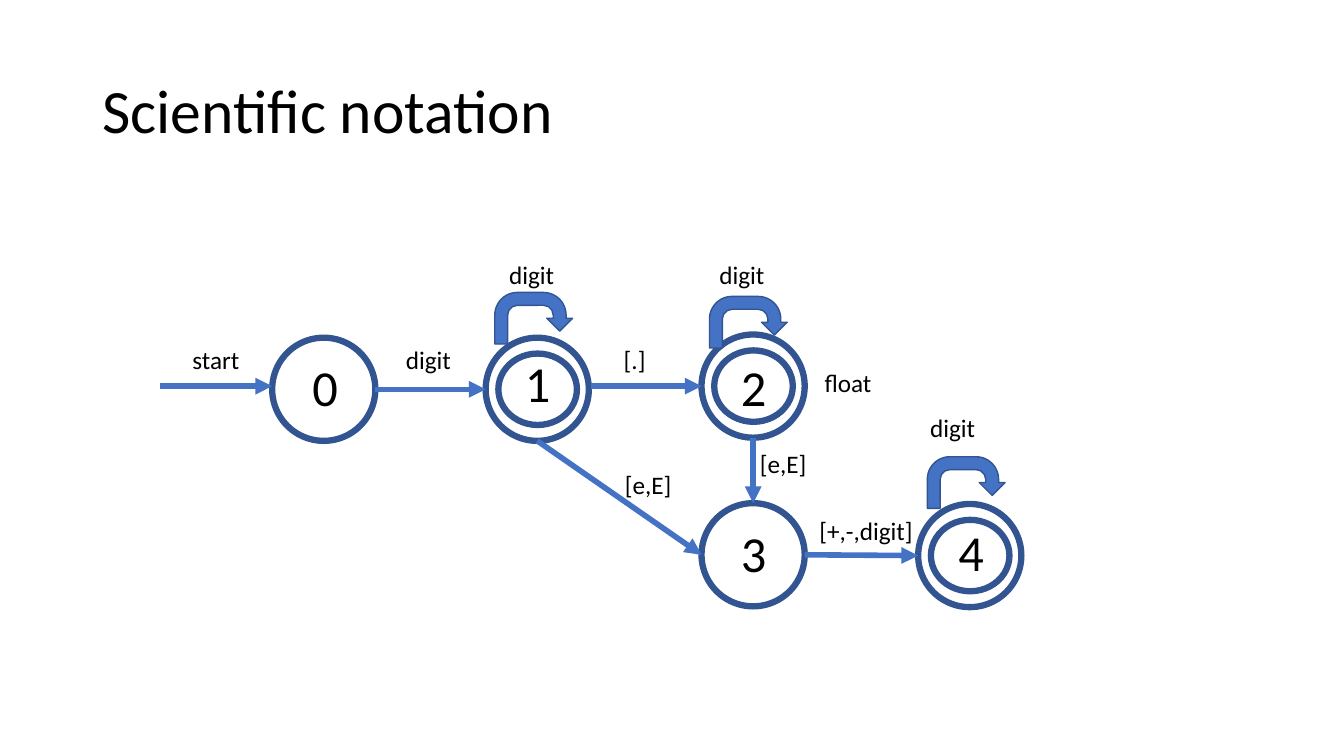
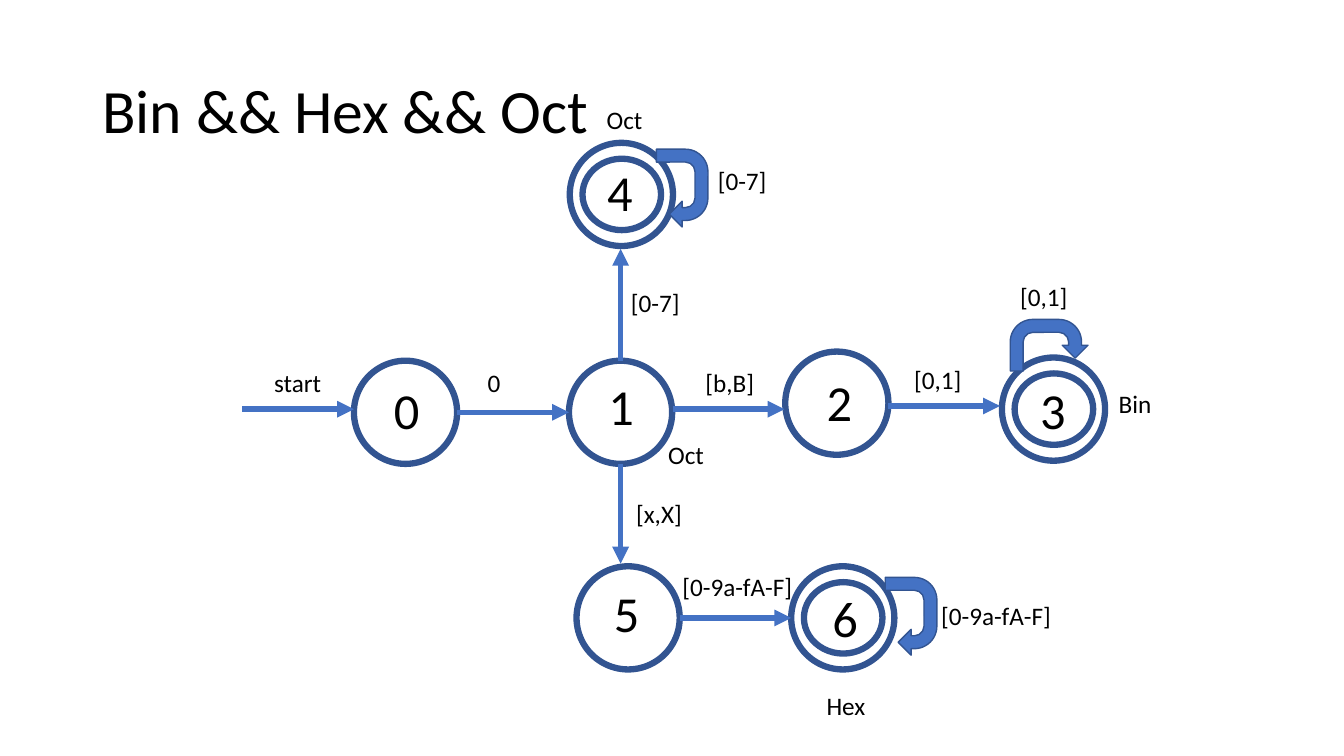
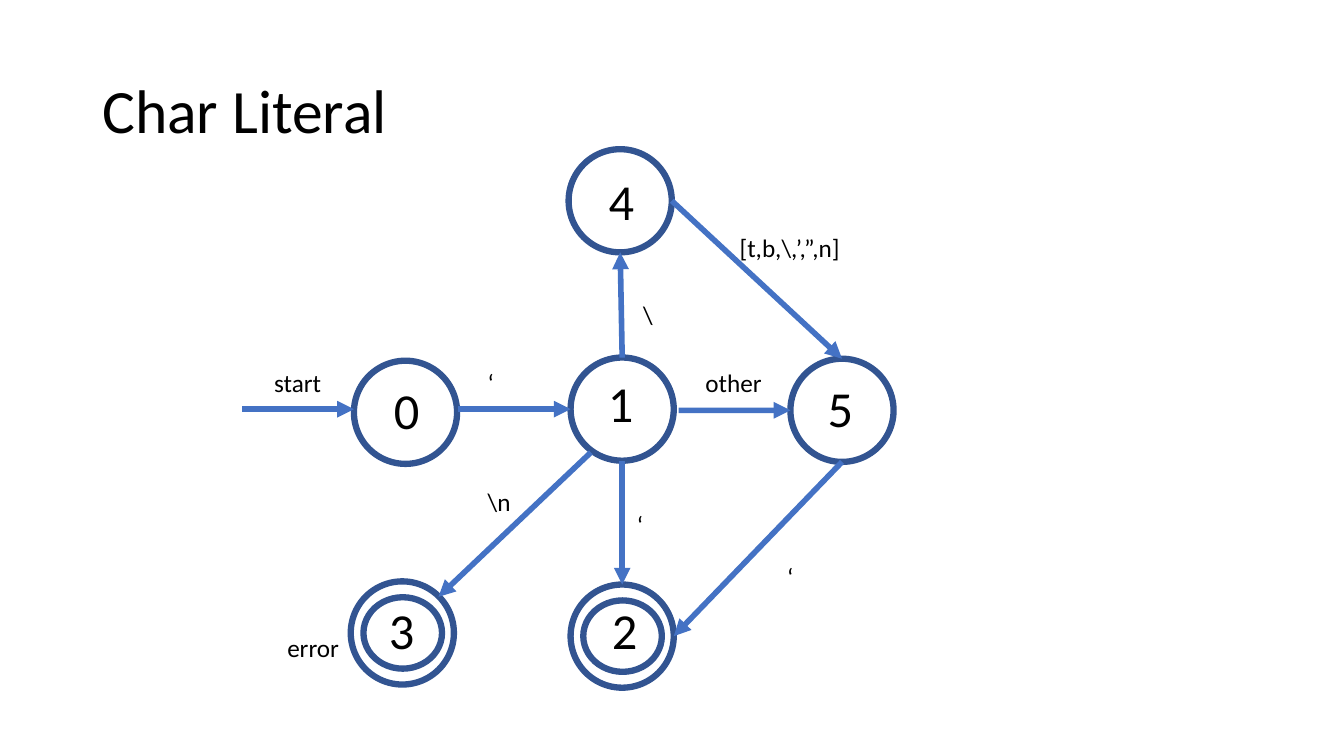
from dataclasses import dataclass

from lxml.etree import SubElement
from pptx import Presentation
from pptx.dml.color import RGBColor
from pptx.enum.shapes import MSO_CONNECTOR, MSO_SHAPE
from pptx.enum.text import MSO_ANCHOR, MSO_AUTO_SIZE
from pptx.oxml.ns import qn
from pptx.util import Cm, Pt


@dataclass(frozen=True)
class Theme:
    """Colours, type sizes, line widths and common sizes in centimetres."""
    font: str = "Calibri"
    ink: RGBColor = RGBColor(0, 0, 0)
    paper: RGBColor = RGBColor(255, 255, 255)
    accent: RGBColor = RGBColor(0x44, 0x72, 0xC4)
    outline: RGBColor = RGBColor(0x32, 0x54, 0x91)
    title_size: int = 44
    digit_size: int = 36
    label_size: int = 18
    ring_width: float = 4.5
    edge_width: float = 4
    loop_width: float = 1
    title_box: tuple = (2.33, 1.01, 29.21, 3.68)
    state: float = 2.6
    inner: tuple = (0.32, 0.4, 1.98, 1.8)
    digit: tuple = (0.89, 1.8)
    loop: tuple = (1.96, 1.3)
    label_height: float = 1.03


@dataclass(frozen=True)
class State:
    """A circle at an offset from the start state, with its digit's inset."""
    name: str
    left: float
    top: float
    digit_left: float
    digit_top: float
    final: bool = False


@dataclass(frozen=True)
class Diagram:
    """One automaton; an edge end is a point or a state's name and side."""
    title: str
    origin: tuple
    states: tuple
    edges: tuple
    loops: tuple
    labels: tuple


THEME = Theme()
SITES = {
    "top": (0, 0.5, 0),
    "left": (2, 0, 0.5),
    "bottom": (4, 0.5, 1),
    "right": (6, 1, 0.5),
    "top right": (7, 0.85, 0.15),
}
START_STATE = State("0", 0, 0, 0.76, 0.33)
START_EDGE = ((-2.82, 1.22), (0, 1.22))
START_LABEL = ("start", -2.26, 0.03, 1.7)

DIAGRAMS = (
    Diagram(
        title="Scientific notation",
        origin=(6.86, 8.51),
        states=(
            State("1", 5.38, 0, 0.74, 0.25, True),
            State("2", 10.82, -0.08, 0.74, 0.41, True),
            State("3", 10.82, 4.17, 0.74, 0.36),
            State("4", 16.28, 4.19, 0.76, 0.3, True),
        ),
        edges=(
            (("0", "right"), ("1", "left")),
            ((8.03, 1.22), ("2", "left")),
            (("1", "bottom"), ("3", "left")),
            (("2", "bottom"), ("3", "top")),
            (("3", "right"), ("4", "left")),
        ),
        loops=((5.61, -1.14, 0), (11.02, -1.04, 0), (16.51, 3, 0)),
        labels=(
            ("digit", 3.12, 0.03, 1.65),
            ("digit", 5.72, -2.11, 1.65),
            ("float", 13.67, 0.61, 1.7),
            ("[.]", 8.61, 0.05, 1.07),
            ("digit", 11.02, -2.11, 1.65),
            ("[e,E]", 8.64, 3.18, 1.7),
            ("digit", 16.33, 1.75, 1.65),
            ("[e,E]", 12.04, 2.67, 1.7),
            ("[+,-,digit]", 13.54, 4.34, 2.9),
        ),
    ),
    Diagram(
        title="Bin && Hex && Oct",
        origin=(8.92, 9.09),
        states=(
            State("1", 5.42, 0, 0.74, 0.23),
            State("2", 10.87, -0.23, 0.79, 0.36),
            State("3", 16.33, -0.08, 0.71, 0.41, True),
            State("4", 5.44, -5.49, 0.69, 0.33, True),
            State("5", 5.61, 5.18, 0.69, 0.28),
            State("6", 11.02, 5.18, 0.79, 0.41, True),
        ),
        edges=(
            (("0", "right"), ("1", "left")),
            ((8.03, 1.22), (10.85, 1.22)),
            ((13.46, 1.14), (16.28, 1.14)),
            (("1", "top"), (6.72, -2.82)),
            (("1", "bottom"), (6.72, 5.11)),
            (("5", "right"), ("6", "left")),
        ),
        loops=((16.54, -1.04, 0), (13.06, 5.79, 90), (7.29, -5, 90)),
        labels=(
            ("0", 3.12, 0.03, 0.84),
            ("[0-7]", 6.73, -1.98, 1.75),
            ("Bin", 19.02, 0.56, 1.35),
            ("[b,B]", 8.61, 0.05, 1.75),
            ("[0,1]", 16.54, -2.13, 1.73),
            ("Oct", 7.67, 1.85, 1.42),
            ("[x,X]", 6.86, 3.33, 1.68),
            ("[0-9a-fA-F]", 14.55, 5.92, 3.3),
            ("[0-7]", 8.92, -5.05, 1.75),
            ("[0-9a-fA-F]", 8.03, 5.18, 3.3),
            ("[0,1]", 13.87, -0.03, 1.73),
            ("Oct", 6.12, -6.58, 1.42),
            ("Hex", 11.66, 8.18, 1.5),
        ),
    ),
    Diagram(
        title="Char Literal",
        origin=(8.92, 9.09),
        states=(
            State("1", 5.46, -0.08, 0.69, 0.23),
            State("2", 5.46, 5.64, 0.79, 0.25, True),
            State("3", -0.08, 5.56, 0.71, 0.33, True),
            State("4", 5.41, -5.33, 0.76, 0.41),
            State("5", 11, -0.05, 0.69, 0.33),
        ),
        edges=(
            ((2.62, 1.22), ("1", "left")),
            ((8.18, 1.25), ("5", "left")),
            (("1", "top"), ("4", "bottom")),
            (("1", "bottom"), ("2", "top")),
            ((5.97, 2.31), ("3", "top right")),
            (("4", "right"), ("5", "top")),
            (("5", "bottom"), ("2", "right")),
        ),
        loops=(),
        labels=(
            ("‘", 3.12, 0.03, 0.69),
            ("‘", 6.88, 3.61, 0.69),
            ("\\n", 3.12, 3.05, 1.09),
            ("error", -1.93, 6.73, 1.83),
            ("\\", 7.04, -1.68, 0.76),
            ("[t,b,\\,’,”,n]", 9.47, -3.35, 3.07),
            ("‘", 10.67, 4.93, 0.69),
            ("other", 8.61, 0.03, 1.96),
        ),
    ),
)


def add_text(slide, box, text, size, wrap=True):
    """Place one line of text in a box and return its frame."""
    frame = slide.shapes.add_textbox(*map(Cm, box)).text_frame
    frame.word_wrap = wrap
    run = frame.paragraphs[0].add_run()
    run.text = text
    run.font.name = THEME.font
    run.font.size = Pt(size)
    run.font.color.rgb = THEME.ink
    return frame


def add_title(slide, box, text):
    """Place the slide title, centred on the height of its box."""
    frame = add_text(slide, box, text, THEME.title_size)
    frame.vertical_anchor = MSO_ANCHOR.MIDDLE
    frame.paragraphs[0].line_spacing = 0.9


def add_figure(slide, kind, box, fill, line_width):
    """Add a filled and outlined preset shape without shadow."""
    shape = slide.shapes.add_shape(kind, *map(Cm, box))
    shape.shadow.inherit = False
    shape.fill.solid()
    shape.fill.fore_color.rgb = fill
    shape.line.color.rgb = THEME.outline
    shape.line.width = Pt(line_width)
    return shape


def add_state(slide, left, top, state):
    """Draw a state circle, its inner ring if final, and its digit."""
    box = (left, top, THEME.state, THEME.state)
    circle = add_figure(slide, MSO_SHAPE.OVAL, box, THEME.paper, THEME.ring_width)
    if state.final:
        inset_left, inset_top, width, height = THEME.inner
        ring_box = (left + inset_left, top + inset_top, width, height)
        add_figure(slide, MSO_SHAPE.OVAL, ring_box, THEME.paper, THEME.ring_width)
    digit_box = (left + state.digit_left, top + state.digit_top, *THEME.digit)
    add_text(slide, digit_box, state.name, THEME.digit_size)
    return circle


def locate(end, origin, circles):
    """Return the point of an edge end, with its circle and site if joined."""
    if end[0] in circles:
        circle = circles[end[0]]
        site, across, down = SITES[end[1]]
        x = circle.left + int(circle.width * across)
        y = circle.top + int(circle.height * down)
        return x, y, circle, site
    return Cm(origin[0] + end[0]), Cm(origin[1] + end[1]), None, None


def add_edge(slide, origin, ends, circles):
    """Draw an arrow and join it to the circles it names."""
    places = [locate(end, origin, circles) for end in ends]
    points = [length for place in places for length in place[:2]]
    connector = slide.shapes.add_connector(MSO_CONNECTOR.STRAIGHT, *points)
    connector.line.color.rgb = THEME.accent
    connector.line.width = Pt(THEME.edge_width)
    properties = connector._element.spPr
    SubElement(properties.find(qn("a:ln")), qn("a:tailEnd"), type="triangle")
    SubElement(properties, qn("a:effectLst"))
    joints = connector._element.nvCxnSpPr.cNvCxnSpPr
    for tag, (_, _, circle, site) in zip(("a:stCxn", "a:endCxn"), places):
        if circle is not None:
            SubElement(joints, qn(tag), id=str(circle.shape_id), idx=str(site))


def add_loop(slide, left, top, rotation):
    """Draw the bent arrow of a state that leads back to itself."""
    box = (left, top, *THEME.loop)
    loop = add_figure(slide, MSO_SHAPE.U_TURN_ARROW, box, THEME.accent, THEME.loop_width)
    loop.rotation = rotation


def add_label(slide, left, top, width, text):
    """Place a short label that grows with its text."""
    box = (left, top, width, THEME.label_height)
    frame = add_text(slide, box, text, THEME.label_size, wrap=False)
    frame.auto_size = MSO_AUTO_SIZE.SHAPE_TO_FIT_TEXT


def add_diagram(slide, origin, diagram):
    """Draw an automaton, measured from the corner of its start state."""
    left, top = origin
    circles = {}
    for state in (START_STATE, *diagram.states):
        circles[state.name] = add_state(slide, left + state.left, top + state.top, state)
    for ends in (START_EDGE, *diagram.edges):
        add_edge(slide, origin, ends, circles)
    for x, y, rotation in diagram.loops:
        add_loop(slide, left + x, top + y, rotation)
    for text, x, y, width in (START_LABEL, *diagram.labels):
        add_label(slide, left + x, top + y, width, text)


def main():
    """Build and save the presentation."""
    presentation = Presentation()
    presentation.slide_width = Cm(33.87)
    presentation.slide_height = Cm(19.05)
    blank = presentation.slide_layouts[6]
    for diagram in DIAGRAMS:
        slide = presentation.slides.add_slide(blank)
        add_title(slide, THEME.title_box, diagram.title)
        add_diagram(slide, diagram.origin, diagram)
    presentation.save("out.pptx")


if __name__ == "__main__":
    main()
